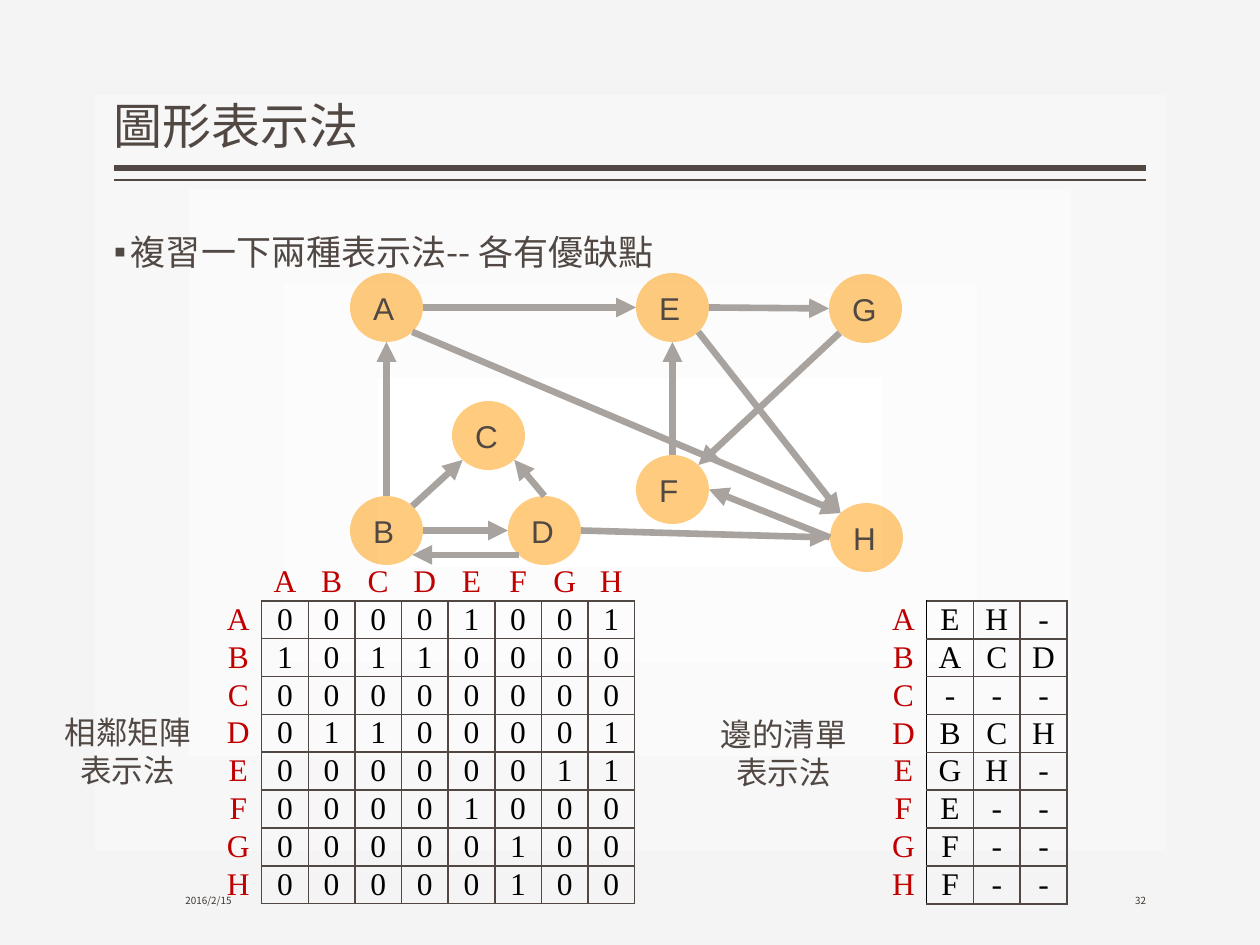
from math import cos, radians, sin

from lxml import etree
from pptx import Presentation
from pptx.dml.color import RGBColor
from pptx.enum.shapes import MSO_CONNECTOR, MSO_SHAPE
from pptx.enum.text import MSO_ANCHOR, MSO_AUTO_SIZE, PP_ALIGN
from pptx.oxml.ns import qn
from pptx.util import Pt

LINE, OVAL = MSO_CONNECTOR.STRAIGHT, MSO_SHAPE.OVAL
LEFT, MID, RIGHT = PP_ALIGN.LEFT, PP_ALIGN.CENTER, PP_ALIGN.RIGHT
TOP, CENTER, LOW = MSO_ANCHOR.TOP, MSO_ANCHOR.MIDDLE, MSO_ANCHOR.BOTTOM
GROW = MSO_AUTO_SIZE.SHAPE_TO_FIT_TEXT
SCALE = 914400 / 126
PLAIN = "{2D5ABB26-0587-4C30-8999-92F81FD0307C}"
CJK, LATIN, SERIF = "Noto Sans CJK SC", "Arial", "Times New Roman"
COLORS = {
    "ink": "514843", "foot": "3D3632", "node": "FF9900", "edge": "A8A39E",
    "head": "C00000", "cell": "000000", "core": "FFFFFF", "rim": "F4F4F4",
}
WIDE, HIGH = 73, 69
NODES = {
    "C": (452, 401), "F": (636, 455), "A": (350, 273), "H": (830, 503),
    "E": (636, 273), "B": (350, 496), "D": (508, 496), "G": (829, 274),
}
SITES = {"e": 0, "se": 45, "s": 90, "sw": 135,
         "w": 180, "nw": 225, "n": 270, "ne": 315}
EDGES = [
    ("A", "e", "E", "w"), ("B", "n", "A", "s"), ("B", "ne", "C", "sw"),
    ("B", "e", "D", "w"), ("D", "sw", "B", "se"), ("D", "n", "C", "se"),
    ("A", "se", "H", "nw"), ("F", "n", "E", "s"), ("E", "e", "G", "w"),
    ("G", "sw", "F", "ne"), ("E", "se", "H", "nw"), ("H", "w", "F", "e"),
    ("D", "e", "H", "w"),
]
LINKS = {"A": "EH", "B": "ACD", "C": "", "D": "BCH",
         "E": "GH", "F": "E", "G": "F", "H": "F"}


def px(*vals):
    return [round(val * SCALE) for val in vals]


def rgb(name):
    return RGBColor.from_string(COLORS[name])


def put(item, **vals):
    for key, val in vals.items():
        setattr(item, key, val)


def sub(node, tag, **vals):
    return etree.SubElement(node, qn(tag), **vals)


def write(par, text, size, face, color, align=LEFT):
    par.alignment = align
    run = par.add_run()
    run.text = text
    put(run.font, size=Pt(size), name=face, bold=False)
    run.font.color.rgb = rgb(color)
    sub(run.font._element, "a:ea", typeface=face)


def add_text(slide, box, lines, size, face, color, align=LEFT,
             anchor=TOP, side=0, fit=None):
    frame = slide.shapes.add_textbox(*px(*box)).text_frame
    edge, = px(side)
    put(frame, word_wrap=True, vertical_anchor=anchor,
        margin_left=edge, margin_right=edge)
    if fit:
        frame.auto_size = fit
    for num, text in enumerate(lines):
        par = frame.add_paragraph() if num else frame.paragraphs[0]
        write(par, text, size, face, color, align)
    return frame.paragraphs[0]


def add_line(slide, start, end, color, width, arrow=False):
    line = slide.shapes.add_connector(LINE, *px(*start, *end))
    line.line.color.rgb = rgb(color)
    line.line.width = Pt(width)
    if arrow:
        sub(line.line._get_or_add_ln(), "a:tailEnd", type="triangle")
    sub(line._element.spPr, "a:effectLst")


def add_node(slide, name):
    node = slide.shapes.add_shape(OVAL, *px(*NODES[name], WIDE, HIGH))
    node.shadow.inherit = False
    node.fill.solid()
    node.fill.fore_color.rgb = rgb("node")
    tint = node._element.spPr.find(".//" + qn("a:srgbClr"))
    sub(tint, "a:alpha", val="50000")
    node.line.fill.background()
    node.text_frame.vertical_anchor = CENTER
    write(node.text_frame.paragraphs[0], name, 18, LATIN, "ink")


def site(name, side):
    left, top = NODES[name]
    turn = radians(SITES[side])
    return (left + WIDE / 2 * (1 + cos(turn)),
            top + HIGH / 2 * (1 + sin(turn)))


def add_rim(cell, edge):
    props = cell._tc.get_or_add_tcPr()
    for num, side in enumerate("LRTB"):
        color, width = edge if side == "L" else ("ink", 1)
        line = etree.Element(qn("a:ln" + side), w=str(Pt(width)))
        sub(sub(line, "a:solidFill"), "a:srgbClr", val=COLORS[color])
        props.insert(num, line)


def add_grid(slide, box, rows, top, edge=("ink", 1)):
    frame = slide.shapes.add_table(len(rows), len(rows[0]), *px(*box))
    grid = frame.table
    put(grid, first_row=False, horz_banding=False)
    grid._tbl.tblPr.find(qn("a:tableStyleId")).text = PLAIN
    for row, texts in enumerate(rows):
        for col, text in enumerate(texts):
            cell = grid.cell(row, col)
            put(cell, vertical_anchor=CENTER, margin_left=0,
                margin_right=0, margin_top=0, margin_bottom=0)
            cell.fill.background()
            body = row >= top and col > 0
            write(cell.text_frame.paragraphs[0], text, 18, SERIF,
                  "cell" if body else "head", MID)
            if body:
                add_rim(cell, edge if col == 1 else ("ink", 1))


def paint(slide):
    fill = slide.background.fill
    fill.gradient()
    for stop, name in zip(fill.gradient_stops, ("core", "rim")):
        stop.color.rgb = rgb(name)
    old = slide._element.find(".//" + qn("a:lin"))
    shade = etree.Element(qn("a:path"), path="rect")
    sub(shade, "a:fillToRect", **dict.fromkeys("ltrb", "50000"))
    old.getparent().replace(old, shade)


def add_bullet(par, mark, indent):
    props = par._p.get_or_add_pPr()
    gap, = px(indent)
    props.set("marL", str(gap))
    props.set("indent", str(-gap))
    sub(props, "a:buFont", typeface=LATIN)
    sub(props, "a:buChar", char=mark)


def main():
    deck = Presentation()
    deck.slide_width, deck.slide_height = px(1260, 945)
    slide = deck.slides.add_slide(deck.slide_layouts[6])
    paint(slide)
    for top, width in ((168, 3), (180, 1)):
        add_line(slide, (1146, top), (114, top), "ink", width)
    title = add_text(slide, (114, 10, 1032, 151), ["圖形表示法"],
                     28, CJK, "ink", anchor=LOW)
    title.line_spacing = 0.9
    topic = add_text(slide, (114, 224, 1032, 630),
                     ["複習一下兩種表示法-- 各有優缺點"], 20, CJK, "ink")
    add_bullet(topic, "▪", 17)
    for left, text, align in ((114, "2016/2/15", MID), (957, "32", RIGHT)):
        add_text(slide, (left, 875, 189, 51), [text], 5.6, CJK, "foot",
                 align, CENTER)
    for name in NODES:
        add_node(slide, name)
    for tail, out, head, into in EDGES:
        add_line(slide, site(tail, out), site(head, into), "edge", 3.78, True)
    matrix = [["", *LINKS]]
    for name, ends in LINKS.items():
        matrix.append([name, *(str(int(key in ends)) for key in LINKS)])
    add_grid(slide, (215, 563, 420, 335), matrix, 1)
    lists = [[name, *ends.ljust(3, "-")] for name, ends in LINKS.items()]
    add_grid(slide, (880, 601, 187, 297), lists, 0, ("cell", 0.5))
    for left, top, lines in ((48, 707, ["相鄰矩陣", "表示法"]),
                             (704, 709, ["邊的清單表示法"])):
        add_text(slide, (left, top, 159, 89), lines, 18, "Lato", "ink",
                 MID, side=13, fit=GROW)
    deck.save("out.pptx")


if __name__ == "__main__":
    main()
